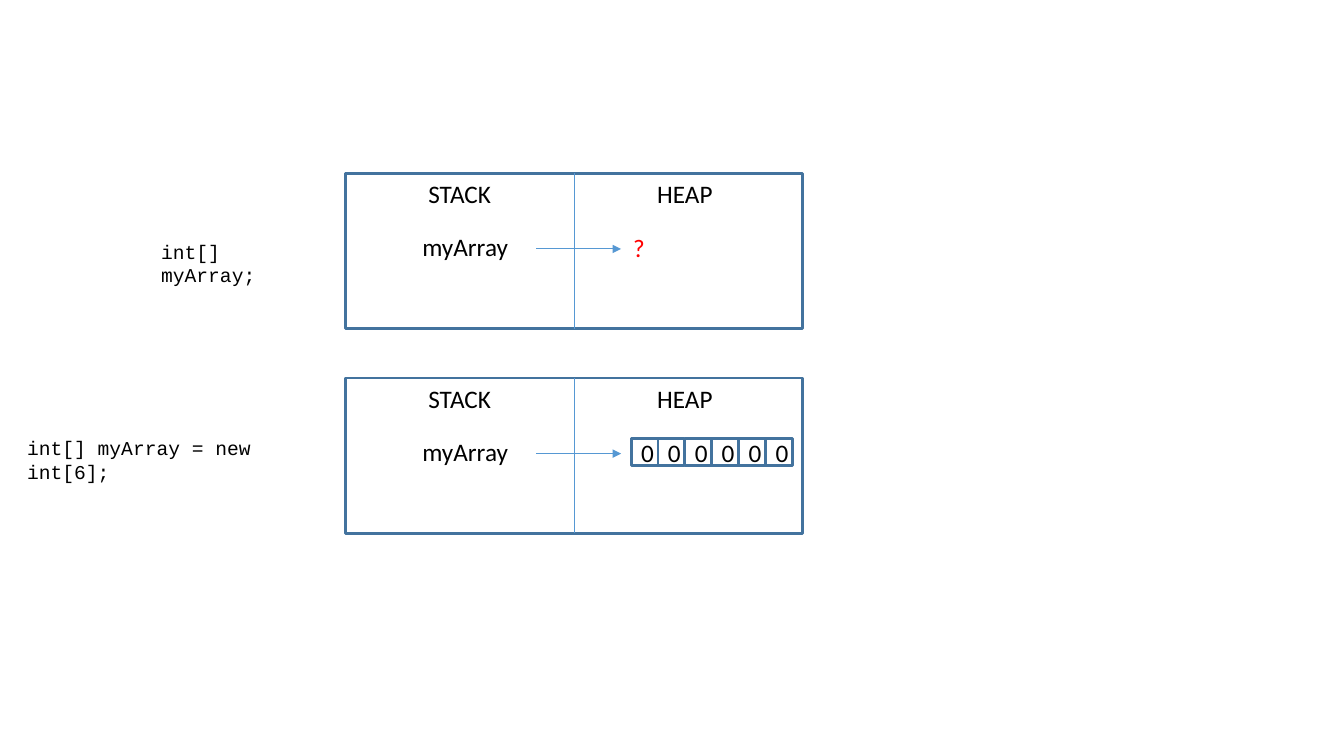
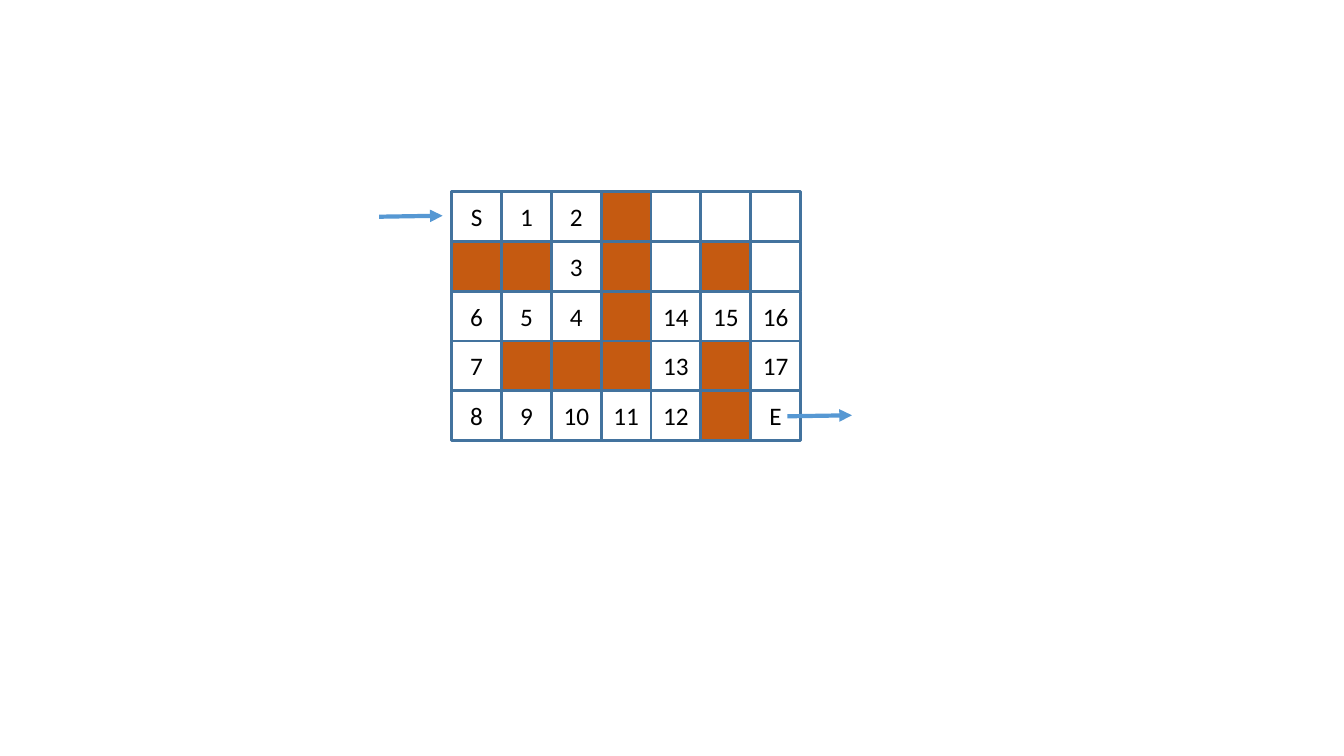
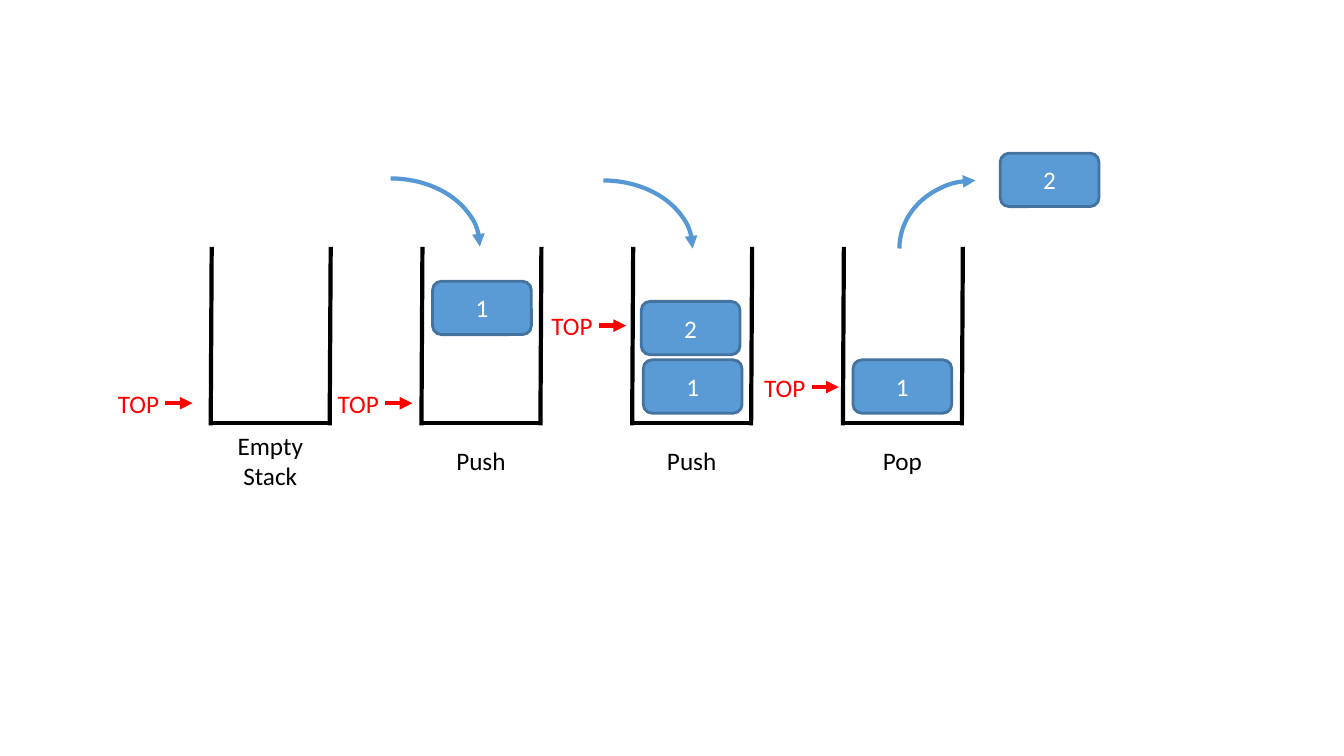
import pptx
import pptx.dml.color
import pptx.enum.shapes
import pptx.enum.text
import pptx.oxml
import pptx.oxml.ns
import pptx.util

Inches = pptx.util.Inches
Shapes = pptx.enum.shapes.MSO_SHAPE
Align = pptx.enum.text.PP_ALIGN

COLORS = {
    "white": "FFFFFF",
    "black": "000000",
    "red": "FF0000",
    "outline": "43739E",
    "arrow": "5698D3",
    "block": "5B9BD5",
    "wall": "C55A11",
}
BODY_FONT = {"name": "Calibri", "size": pptx.util.Pt(18)}
CODE_FONT = {"name": "Courier New", "size": pptx.util.Pt(14)}

# Slide 1: memory panels; code is (text, left, offset from panel top, width)
MEMORY_PANELS = [
    {"top": 1.72, "code": ("int[] myArray;", 1.5, 0.61, 1.5), "values": None},
    {"top": 3.75, "code": ("int[] myArray = new int[6];", 0.17, 0.53, 3.0),
     "values": ["0"] * 6},
]
PANEL_LEFT, PANEL_WIDTH, PANEL_HEIGHT = 3.43, 4.53, 1.54
PANEL_LABELS = [
    ("STACK", 4.15, 0, 0.82),
    ("HEAP", 6.42, 0, 0.75),
    ("myArray", 4.09, 0.53, 1.05),
]
ARRAY_LEFT, ARRAY_WIDTH = 6.26, 1.6

# Slide 2: "#" is a wall, "" an unvisited cell
MAZE = [
    ["S", "1", "2", "#", "", "", ""],
    ["#", "#", "3", "#", "", "#", ""],
    ["6", "5", "4", "#", "14", "15", "16"],
    ["7", "#", "#", "#", "13", "#", "17"],
    ["8", "9", "10", "11", "12", "#", "E"],
]
MAZE_LEFT, MAZE_TOP, MAZE_WIDTH = 4.48, 1.9, 3.46
MAZE_ARROWS = [(3.76, 2.15, 4.39, 2.14), (7.81, 4.13, 8.45, 4.12)]

# Slide 3: one container per step; label is (lines, top)
STACK_STEPS = [
    {"label": (["Empty", "Stack"], 4.22), "pointer": (1.07, 3.8)},
    {"label": (["Push"], 4.37), "pointer": (3.25, 3.8)},
    {"label": (["Push"], 4.37), "pointer": (5.37, 3.03)},
    {"label": (["Pop"], 4.37), "pointer": (7.48, 3.64)},
]
STACK_LEFT, STACK_PITCH, STACK_WIDTH = 2.09, 2.09, 1.18
STACK_TOP, STACK_FLOOR = 2.45, 4.2
BLOCKS = [
    ("1", 4.29, 2.79),
    ("1", 6.38, 3.57),
    ("2", 6.36, 2.99),
    ("1", 8.46, 3.57),
    ("2", 9.92, 1.52),
]
# left, top, width, arrowhead element, mirrored
ARCS = [
    (2.99, 1.77, 1.77, "tailEnd", False),
    (5.1, 1.79, 1.77, "tailEnd", False),
    (8.92, 1.79, 1.51, "headEnd", True),
]


def rgb(color):
    return pptx.dml.color.RGBColor.from_string(COLORS[color])


def write(shape, lines, color, font=BODY_FONT, align=None):
    for index, line in enumerate(lines):
        frame = shape.text_frame
        paragraph = frame.paragraphs[0] if index == 0 else frame.add_paragraph()
        if align is not None:
            paragraph.alignment = align
        run = paragraph.add_run()
        run.text = line
        for name, value in font.items():
            setattr(run.font, name, value)
        run.font.color.rgb = rgb(color)


def add_text(slide, lines, left, top, width, color="black", font=BODY_FONT,
             align=None, wrap=False):
    box = slide.shapes.add_textbox(
        Inches(left), Inches(top), Inches(width), Inches(0.4))
    box.text_frame.word_wrap = wrap
    write(box, lines, color, font, align)


def set_line(shape, color, width, arrowhead=None):
    shape.line.color.rgb = rgb(color)
    shape.line.width = pptx.util.Pt(width)
    if arrowhead:
        shape.line._get_or_add_ln().append(pptx.oxml.parse_xml(
            f'<a:{arrowhead} {pptx.oxml.ns.nsdecls("a")} type="triangle"/>'))


def add_box(slide, left, top, width, height, text="", fill="white",
            text_color="black", kind=Shapes.RECTANGLE):
    shape = slide.shapes.add_shape(
        kind, Inches(left), Inches(top), Inches(width), Inches(height))
    shape.shadow.inherit = False
    shape.fill.solid()
    shape.fill.fore_color.rgb = rgb(fill)
    set_line(shape, "outline", 2)
    if text:
        write(shape, [text], text_color, align=Align.CENTER)


def add_line(slide, x1, y1, x2, y2, color="arrow", width=3, arrowhead=None):
    line = slide.shapes.add_connector(
        pptx.enum.shapes.MSO_CONNECTOR.STRAIGHT,
        Inches(x1), Inches(y1), Inches(x2), Inches(y2))
    set_line(line, color, width, arrowhead)
    line.element.spPr.append(pptx.oxml.parse_xml(
        f'<a:effectLst {pptx.oxml.ns.nsdecls("a")}/>'))


def add_arc(slide, left, top, width, arrowhead, mirrored):
    arc = slide.shapes.add_shape(
        Shapes.ARC, Inches(left), Inches(top), Inches(width), Inches(1.35))
    arc.shadow.inherit = False
    arc.fill.background()
    set_line(arc, "arrow", 3, arrowhead)
    if mirrored:
        arc.element.spPr.find(pptx.oxml.ns.qn("a:xfrm")).set("flipH", "1")


def build_memory(slide):
    for panel in MEMORY_PANELS:
        top = panel["top"]
        middle = PANEL_LEFT + PANEL_WIDTH / 2
        add_box(slide, PANEL_LEFT, top, PANEL_WIDTH, PANEL_HEIGHT)
        add_line(slide, middle, top, middle, top + PANEL_HEIGHT, width=0.75)
        for text, left, offset, width in PANEL_LABELS:
            add_text(slide, [text], left, top + offset, width)
        add_line(slide, 5.32, top + 0.75, 6.16, top + 0.75, width=0.75,
                 arrowhead="tailEnd")
        text, left, offset, width = panel["code"]
        add_text(slide, [text], left, top + offset, width, font=CODE_FONT, wrap=True)
        if panel["values"] is None:
            add_text(slide, ["?"], 6.18, top + 0.54, 0.31, color="red")
            continue
        side = ARRAY_WIDTH / len(panel["values"])
        for index, value in enumerate(panel["values"]):
            add_box(slide, ARRAY_LEFT + index * side, top + 0.6, side, side, value)


def build_maze(slide):
    side = MAZE_WIDTH / len(MAZE[0])
    for row, cells in enumerate(MAZE):
        for column, cell in enumerate(cells):
            is_wall = cell == "#"
            add_box(slide, MAZE_LEFT + column * side, MAZE_TOP + row * side,
                    side, side, "" if is_wall else cell,
                    "wall" if is_wall else "white")
    for ends in MAZE_ARROWS:
        add_line(slide, *ends, arrowhead="tailEnd")


def build_stacks(slide):
    for index, step in enumerate(STACK_STEPS):
        left = STACK_LEFT + index * STACK_PITCH
        right = left + STACK_WIDTH
        for side in (left, right):
            add_line(slide, side + 0.01, STACK_TOP, side, STACK_FLOOR + 0.02, "black")
        add_line(slide, left, STACK_FLOOR, right, STACK_FLOOR, "black")
        lines, top = step["label"]
        add_text(slide, lines, left, top, STACK_WIDTH, align=Align.CENTER, wrap=True)
        x, y = step["pointer"]
        add_text(slide, ["TOP"], x, y, 0.61, color="red")
        add_line(slide, x + 0.57, y + 0.2, x + 0.84, y + 0.2, "red",
                 arrowhead="tailEnd")
    for text, left, top in BLOCKS:
        add_box(slide, left, top, 0.98, 0.53, text, "block", "white",
                Shapes.ROUNDED_RECTANGLE)
    for arc in ARCS:
        add_arc(slide, *arc)


def main():
    presentation = pptx.Presentation()
    presentation.slide_width = Inches(13.33)
    presentation.slide_height = Inches(7.5)
    for build in (build_memory, build_maze, build_stacks):
        build(presentation.slides.add_slide(presentation.slide_layouts[6]))
    presentation.save("out.pptx")


if __name__ == "__main__":
    main()
